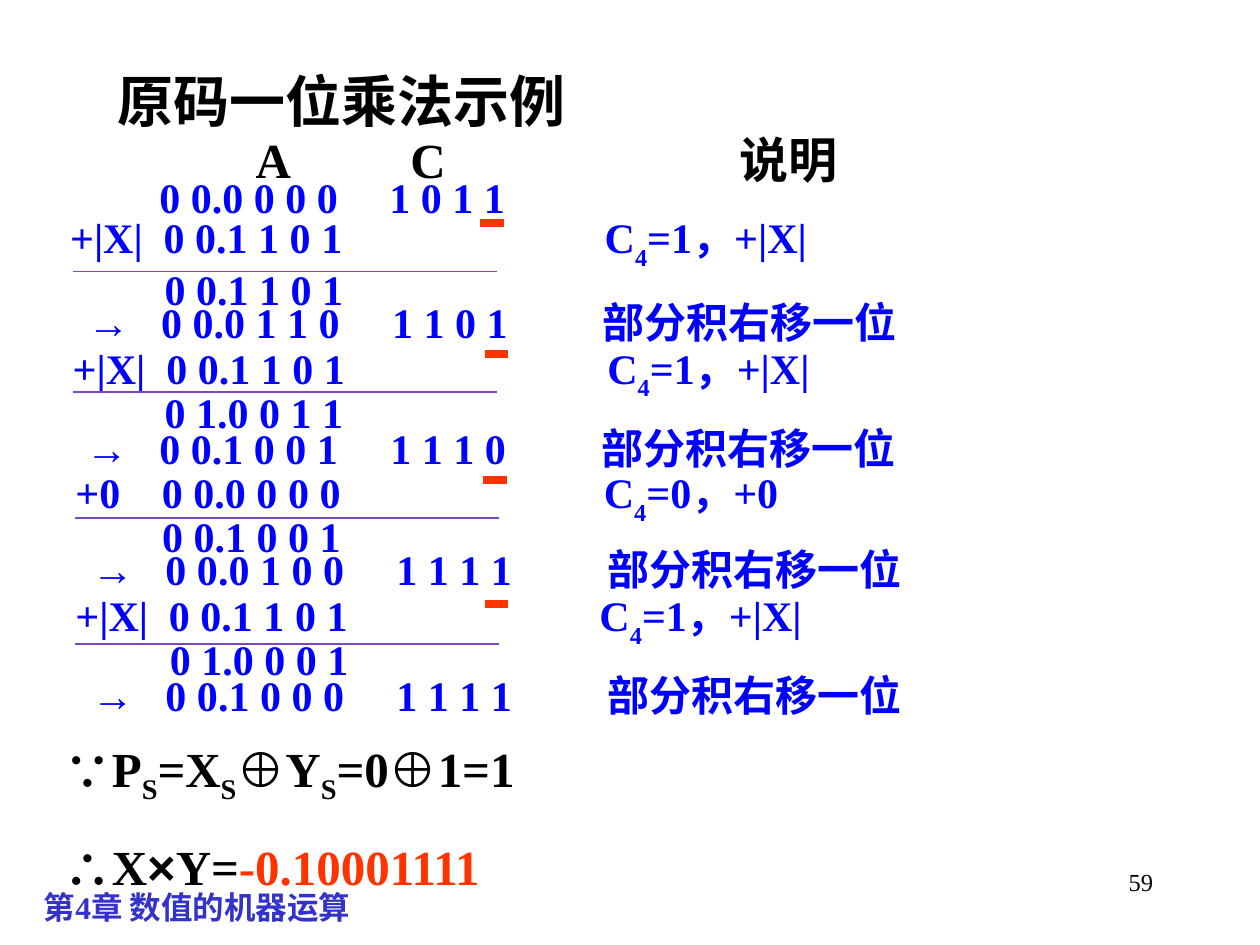
from lxml.etree import SubElement
from pptx import Presentation
from pptx.dml.color import RGBColor
from pptx.enum.shapes import MSO_CONNECTOR
from pptx.enum.text import MSO_ANCHOR, PP_ALIGN
from pptx.oxml.ns import qn
from pptx.util import Pt

HUES = {"ink": "000000", "blue": "0000FF", "navy": "3333CC",
        "rule": "7A48C4", "mark": "FF3300"}
SERIF, HAN = "Times New Roman", "Noto Sans CJK SC"
SHIFT = "部分积右移一位"
SUB = {"base": -25}

TITLE = "原码一位乘法示例"
HEADS = "\tA\tC\t说明"
START = "0 0.0 0 0 0\t1 0 1 1"
STEPS = [
    {"op": "+|X|", "add": "0 0.1 1 0 1", "bit": "=1，+|X|", "sum": "0 0.1 1 0 1",
     "next": "0 0.0 1 1 0\t1 1 0 1", "tabs": (53.5, 305.5), "add_at": (33, 117.5),
     "sum_at": (87, 147), "next_at": (43, 169), "rule": (42, 155), "mark": (274.5, 127.5)},
    {"op": "+|X|", "add": "0 0.1 1 0 1", "bit": "=1，+|X|", "sum": "0 1.0 0 1 1",
     "next": "0 0.1 0 0 1\t1 1 1 0", "tabs": (53.5, 305.5), "add_at": (34.5, 192),
     "sum_at": (87, 217.5), "next_at": (42, 241), "rule": (42, 224), "mark": (277, 202.5)},
    {"op": "+0", "add": "0 0.0 0 0 0", "bit": "=0，+0", "sum": "0 0.1 0 0 1",
     "next": "0 0.0 1 0 0\t1 1 1 1", "tabs": (49.5, 302), "add_at": (36, 263),
     "sum_at": (85.5, 288), "next_at": (45.5, 310.5), "rule": (43, 296), "mark": (276, 274.5)},
    {"op": "+|X|", "add": "0 0.1 1 0 1", "bit": "=1，+|X|", "sum": "0 1.0 0 0 1",
     "next": "0 0.1 0 0 0\t1 1 1 1", "tabs": (53.5, 299.5), "add_at": (36, 333.5),
     "sum_at": (90, 358.5), "next_at": (45.5, 382.5), "rule": (43, 368), "mark": (277, 345)},
]
PROOF = [
    [("∵P", {}), ("S", SUB), ("=X", {}), ("S", SUB), ("⊕Y", {}), ("S", SUB), ("=0⊕1=1", {})],
    [("∴X", {}), ("×", {"face": "Arial"}), ("Y=", {}), ("-0.10001111", {"hue": "mark"})],
]
FOOT, PAGE = "第4章 数值的机器运算", "59"


def style(run, size=24, face=SERIF, hue="blue", bold=True, base=0):
    """Format one run of text."""
    font = run.font
    font.size, font.bold, font.name = Pt(size), bold, face
    font.color.rgb = RGBColor.from_string(HUES[hue])
    props = run._r.get_or_add_rPr()
    SubElement(props, qn("a:ea"), typeface=HAN)
    if base:
        props.set("baseline", str(base * 1000))


def write(slide, text, box, shape=None, tabs=(), align=PP_ALIGN.LEFT,
          lead=None, gap=0, **look):
    """Place a string, or paragraphs of (text, format) runs, in a box."""
    spot = [Pt(v) for v in box]
    if shape is None:
        shape = slide.shapes.add_textbox(*spot)
    else:
        shape.left, shape.top, shape.width, shape.height = spot
    frame = shape.text_frame
    frame.word_wrap = True
    paras = [[(text, {})]] if isinstance(text, str) else text
    for i, runs in enumerate(paras):
        para = frame.add_paragraph() if i else frame.paragraphs[0]
        if tabs:
            stops = SubElement(para._p.get_or_add_pPr(), qn("a:tabLst"))
            for stop in tabs:
                SubElement(stops, qn("a:tab"), pos=str(Pt(stop)), algn="l")
        para.alignment = align
        if lead:
            para.line_spacing = lead
        if i:
            para.space_before = Pt(gap)
        for words, own in runs:
            run = para.add_run()
            run.text = words
            style(run, **{**look, **own})
    return shape


def rule(slide, at, span, hue, thick):
    """Draw a level line."""
    x, y = at
    line = slide.shapes.add_connector(MSO_CONNECTOR.STRAIGHT, Pt(x), Pt(y), Pt(x + span), Pt(y))
    line.line.color.rgb = RGBColor.from_string(HUES[hue])
    line.line.width = Pt(thick)
    SubElement(line._element.spPr, qn("a:effectLst"))


def main():
    """Build the slide and save it."""
    deck = Presentation()
    deck.slide_width, deck.slide_height = Pt(720), Pt(540)
    slide = deck.slides.add_slide(deck.slide_layouts[5])
    head = write(slide, TITLE, (60, 12, 612, 90), shape=slide.shapes.title,
                 size=32, face=HAN, hue="ink")
    head.text_frame.vertical_anchor = MSO_ANCHOR.MIDDLE
    write(slide, FOOT, (18, 504, 420, 18), size=18, hue="navy")
    write(slide, PAGE, (516, 492, 150, 36), align=PP_ALIGN.RIGHT,
          size=14, hue="ink", bold=False)
    write(slide, HEADS, (27, 70.5, 654, 156), tabs=(112, 200.5, 388.5), size=28, hue="ink")
    write(slide, START, (84, 94.5, 366, 36), tabs=(131.5,))
    for step in STEPS:
        add = [[(f"{step['op']}\t{step['add']}\tC", {}), ("4", {"base": -30}), (step["bit"], {})]]
        write(slide, add, (*step["add_at"], 637, 41), tabs=step["tabs"])
        rule(slide, step["rule"], 242, "rule", 0.75)
        write(slide, step["sum"], (*step["sum_at"], 190, 36))
        write(slide, f"→\t{step['next']}\t{SHIFT}", (*step["next_at"], 657, 33),
              tabs=(42, 174, 294.5), lead=0.9)
        rule(slide, step["mark"], 13.5, "mark", 4.5)
    write(slide, PROOF, (29, 418.5, 456, 96.5), gap=17.5, size=28, hue="ink")
    deck.save("out.pptx")


if __name__ == "__main__":
    main()
